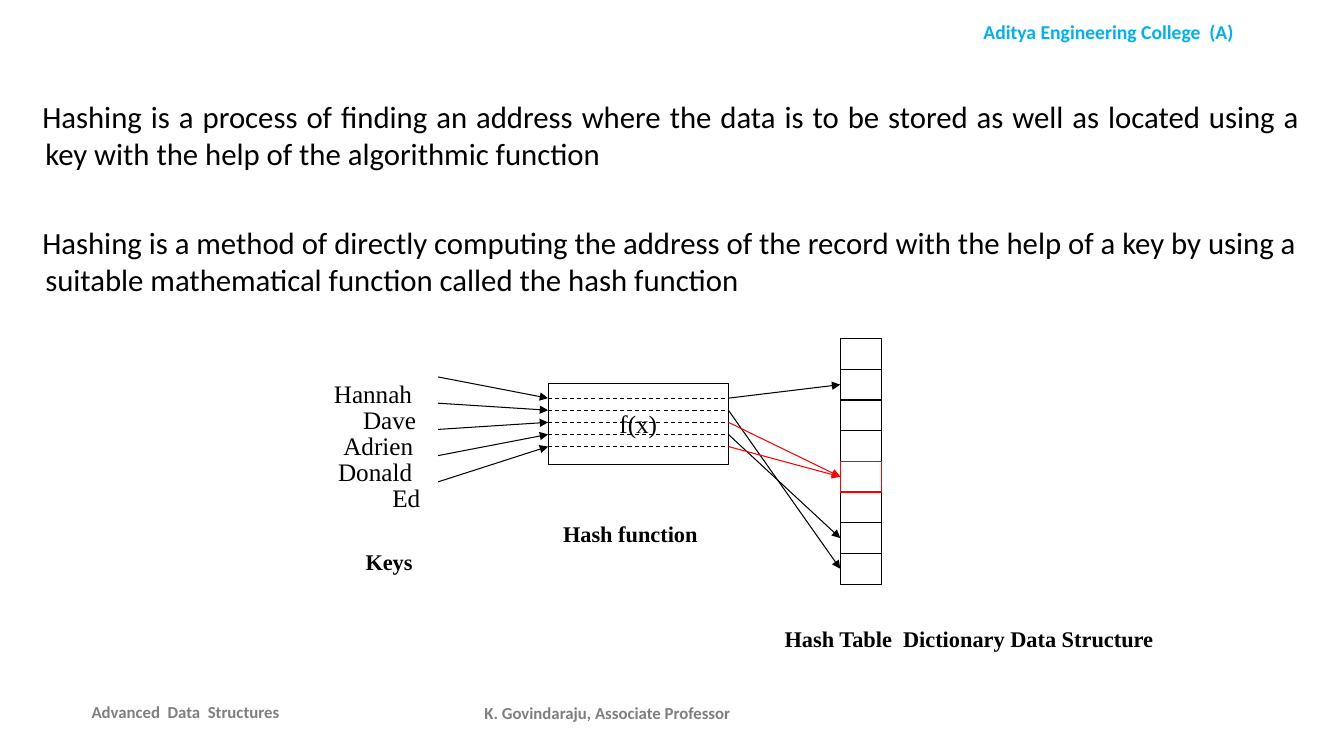
from dataclasses import dataclass

from lxml import etree
from pptx import Presentation
from pptx.dml.color import RGBColor
from pptx.enum.dml import MSO_LINE
from pptx.enum.shapes import MSO_CONNECTOR, MSO_SHAPE
from pptx.enum.text import MSO_ANCHOR, MSO_AUTO_SIZE, PP_ALIGN
from pptx.oxml.ns import qn
from pptx.shapes.autoshape import Shape
from pptx.shapes.connector import Connector
from pptx.util import Inches, Pt

RECT, STRAIGHT, DASH = MSO_SHAPE.RECTANGLE, MSO_CONNECTOR.STRAIGHT, MSO_LINE.DASH
TOP, MIDDLE = MSO_ANCHOR.TOP, MSO_ANCHOR.MIDDLE
FIXED, GROW = MSO_AUTO_SIZE.NONE, MSO_AUTO_SIZE.SHAPE_TO_FIT_TEXT
LEFT, CENTER, RIGHT = PP_ALIGN.LEFT, PP_ALIGN.CENTER, PP_ALIGN.RIGHT
JUSTIFY = PP_ALIGN.JUSTIFY
SANS, SERIF = "Calibri", "Times New Roman"
COLORS = {"black": "000000", "red": "FF0000", "blue": "00B0F0", "gray": "7F7F7F"}
LEFT_SIDE = 1


@dataclass
class Label:
    text: str
    x: float
    y: float
    w: float
    h: float
    size: int
    font: str = SERIF
    color: str = "black"
    bold: bool = True
    align: PP_ALIGN = LEFT
    anchor: MSO_ANCHOR = TOP
    wrap: bool = True
    fit: MSO_AUTO_SIZE = FIXED
    pitch: float = 1.0


@dataclass
class Key:
    name: str
    x: float
    w: float
    cell: int  # row of the hash table that the key maps to


LABELS = [
    Label("Aditya Engineering College  (A)", 9.09, 0.15, 3.83, 0.34, 14, SANS,
          "blue", align=CENTER),
    Label("Advanced  Data  Structures", 0.81, 6.86, 2.11, 0.4, 12, SANS, "gray",
          align=JUSTIFY, anchor=MIDDLE),
    Label("K. Govindaraju, Associate Professor", 4.53, 6.87, 3, 0.4, 12, SANS,
          "gray", align=CENTER, anchor=MIDDLE),
    Label("Hash function", 5.49, 5.14, 1.62, 0.42, 16, pitch=0.9),
    Label("Hash Table  Dictionary Data Structure", 7.69, 6.18, 5.23, 0.42, 16,
          pitch=0.9),
    Label("Keys", 3.53, 5.42, 1.34, 0.42, 16, pitch=0.9),
]
FACTS = [
    "Hashing is a process of finding an address where the data is to be stored "
    "as well as located using a key with the help of the algorithmic function",
    "Hashing is a method of directly computing the address of the record with the "
    "help of a key by using a suitable mathematical function called the hash function",
]
KEYS = [
    Key("Hannah", 3.21, 0.98, 1),
    Key("Dave", 3.5, 0.73, 7),
    Key("Adrien", 3.3, 0.9, 4),
    Key("Donald", 3.25, 0.94, 6),
    Key("Ed", 3.79, 0.48, 4),
]
CLASH = 4  # cell hit by two keys
CELLS, CELL_X, CELL_Y, CELL_W, CELL_H = 8, 8.34, 3.36, 0.41, 2.13 / 7
KEY_X, KEY_Y, KEY_STEP = 4.35, 3.74, 0.26
BOX_X, BOX_Y, BOX_W, BOX_H = 5.44, 3.8, 1.79, 0.81
SLOT_Y, SLOT_STEP = 3.95, 0.12

deck = Presentation()
deck.slide_width, deck.slide_height = Inches(13.34), Inches(7.5)
slide = deck.slides.add_slide(deck.slide_layouts[6])
shapes = slide.shapes


def paint(name: str) -> RGBColor:
    return RGBColor.from_string(COLORS[name])


def write(shape: Shape, label: Label) -> None:
    frame = shape.text_frame
    frame.word_wrap, frame.auto_size = label.wrap, label.fit
    frame.vertical_anchor = label.anchor
    para = frame.paragraphs[0]
    para.text = label.text
    para.alignment = label.align
    para.line_spacing = label.pitch
    font = para.font
    font.name, font.size, font.bold = label.font, Pt(label.size), label.bold
    font.color.rgb = paint(label.color)


def add_label(label: Label) -> None:
    spot = [Inches(v) for v in (label.x, label.y, label.w, label.h)]
    write(shapes.add_textbox(*spot), label)


def add_rect(x: float, y: float, w: float, h: float, color: str = "black") -> Shape:
    rect = shapes.add_shape(RECT, Inches(x), Inches(y), Inches(w), Inches(h))
    rect.shadow.inherit = False
    rect.fill.background()
    rect.line.color.rgb = paint(color)
    rect.line.width = Pt(0.75)
    return rect


def add_line(x1: float, y1: float, x2: float, y2: float, color: str = "black",
             arrow: bool = True) -> Connector:
    line = shapes.add_connector(STRAIGHT, Inches(x1), Inches(y1), Inches(x2), Inches(y2))
    line.line.color.rgb = paint(color)
    line.line.width = Pt(0.75)
    if arrow:
        stroke = line.line._get_or_add_ln()
        etree.SubElement(stroke, qn("a:tailEnd"), type="triangle")
    else:
        line.line.dash_style = DASH
    etree.SubElement(line._element.spPr, qn("a:effectLst"))
    return line


def add_facts() -> None:
    frame = shapes.add_textbox(Inches(0.42), Inches(0.92), Inches(12.5),
                               Inches(2.28)).text_frame
    frame.word_wrap = True
    frame.margin_left, frame.margin_right = 0, Inches(0.02)
    for i, fact in enumerate(FACTS):
        para = frame.add_paragraph() if i else frame.paragraphs[0]
        para.text = fact
        para.alignment = LEFT if i else JUSTIFY
        para.space_before = Pt(37 if i else 0)
        props = para._p.get_or_add_pPr()
        props.set("marL", str(Inches(0.03)))
        props.set("indent", str(-Inches(0.03)))
        para.font.name, para.font.size = SANS, Pt(22)
        para.font.color.rgb = paint("black")


# Header, footer, captions and text
for label in LABELS:
    add_label(label)
add_facts()

# Hash table, with the clashing cell on top
cells = {}
for row in sorted(range(CELLS), key=lambda r: r == CLASH):
    cells[row] = add_rect(CELL_X, CELL_Y + row * CELL_H, CELL_W, CELL_H,
                          "red" if row == CLASH else "black")

# Hash function
box = add_rect(BOX_X, BOX_Y, BOX_W, BOX_H)
write(box, Label("f(x)", BOX_X, BOX_Y, BOX_W, BOX_H, 18, bold=False, align=CENTER,
                 anchor=MIDDLE, wrap=False))

# Keys and their way through the function to a cell
for i, key in enumerate(KEYS):
    start, slot = KEY_Y + i * KEY_STEP, SLOT_Y + i * SLOT_STEP
    end = CELL_Y + (key.cell + 0.5) * CELL_H
    add_label(Label(key.name, key.x, start - 0.04, key.w, 0.4, 18, bold=False,
                    align=RIGHT, wrap=False, fit=GROW))
    add_line(KEY_X, start, BOX_X, slot)
    add_line(BOX_X, slot, BOX_X + BOX_W, slot, arrow=False)
    link = add_line(BOX_X + BOX_W, slot, CELL_X, end,
                    "red" if key.cell == CLASH else "black")
    link.end_connect(cells[key.cell], LEFT_SIDE)

deck.save("out.pptx")
